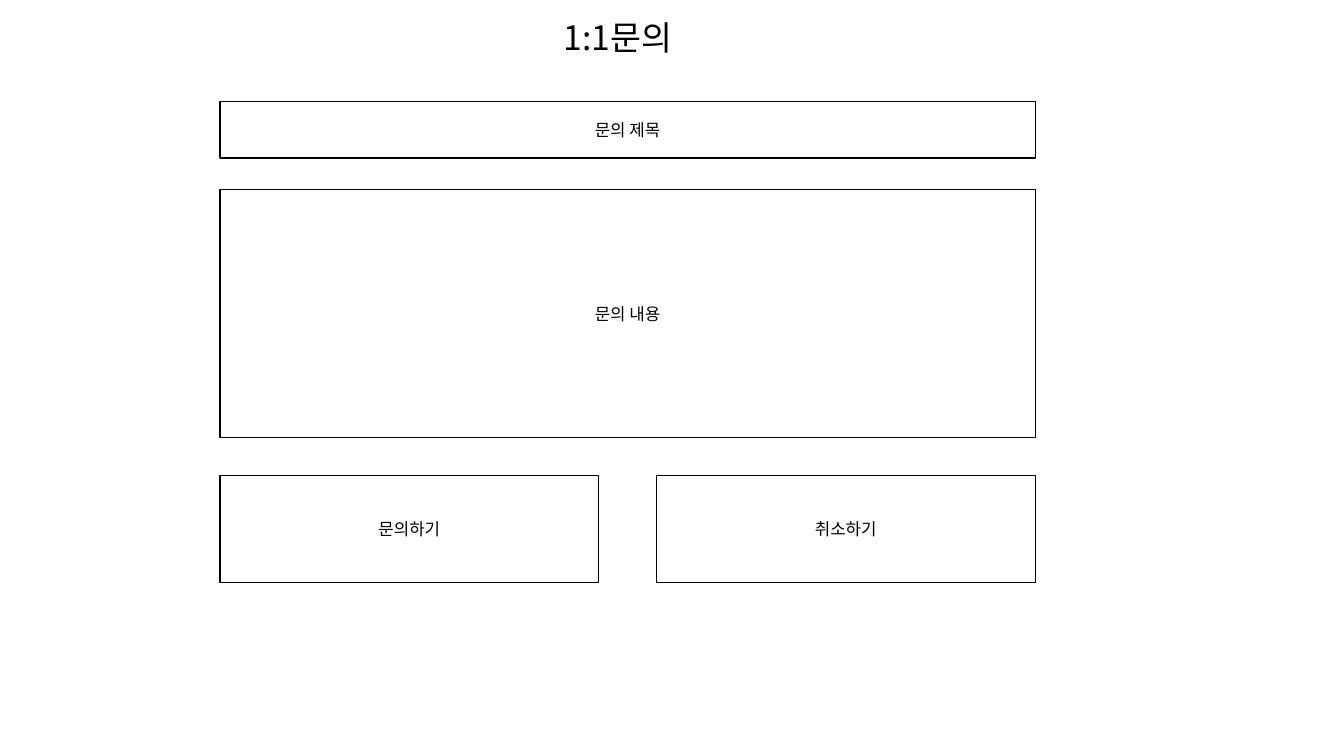
import pptx
import pptx.util
import pptx.dml.color
import pptx.enum.shapes
import pptx.enum.text
import pptx.oxml
import pptx.oxml.ns

Pt = pptx.util.Pt
COLORS = {"ink": "000000", "paper": "FFFFFF"}
FONT = "Noto Sans CJK KR"
TITLE = "1:1문의"
TITLE_BOX = (324.7, 13.7, 233.3, 37.4)
FORM_ROWS = [
    (72.7, 40.3, ["문의 제목"]),
    (135.4, 177.1, ["문의 내용"]),
    (339.8, 76.3, ["문의하기", "취소하기"]),
]
FORM_LEFT, FORM_WIDTH, BUTTON_GAP = 157, 582.5, 41


def color(name):
    return pptx.dml.color.RGBColor.from_string(COLORS[name])


def write(box, text, size, anchor):
    frame = box.text_frame
    frame.text = text
    frame.word_wrap = True
    frame.auto_size = pptx.enum.text.MSO_AUTO_SIZE.NONE
    frame.vertical_anchor = anchor
    para = frame.paragraphs[0]
    para.alignment = pptx.enum.text.PP_ALIGN.CENTER
    span = para.runs[0]
    span.font.size = Pt(size)
    span.font.name = FONT
    span.font.color.rgb = color("ink")
    east_asian = pptx.oxml.parse_xml(
        f'<a:ea {pptx.oxml.ns.nsdecls("a")} typeface="{FONT}"/>')
    span.font._element.find(pptx.oxml.ns.qn("a:latin")).addnext(east_asian)
    return para


def add_field(page, text, left, top, width, height):
    box = page.shapes.add_shape(
        pptx.enum.shapes.MSO_SHAPE.RECTANGLE,
        Pt(left), Pt(top), Pt(width), Pt(height))
    box.shadow.inherit = False
    box.fill.solid()
    box.fill.fore_color.rgb = color("paper")
    box.line.color.rgb = color("ink")
    box.line.width = Pt(1)
    write(box, text, 12, pptx.enum.text.MSO_ANCHOR.MIDDLE)


deck = pptx.Presentation()
deck.slide_width, deck.slide_height = Pt(960), Pt(540)
page = deck.slides.add_slide(deck.slide_layouts[5])

title = page.shapes.title
title.left, title.top, title.width, title.height = map(Pt, TITLE_BOX)
heading = write(title, TITLE, 24, pptx.enum.text.MSO_ANCHOR.TOP)
heading.line_spacing = 0.8

for top, height, labels in FORM_ROWS:
    width = (FORM_WIDTH - BUTTON_GAP * (len(labels) - 1)) / len(labels)
    for column, label in enumerate(labels):
        left = FORM_LEFT + column * (width + BUTTON_GAP)
        add_field(page, label, left, top, width, height)

deck.save("out.pptx")
